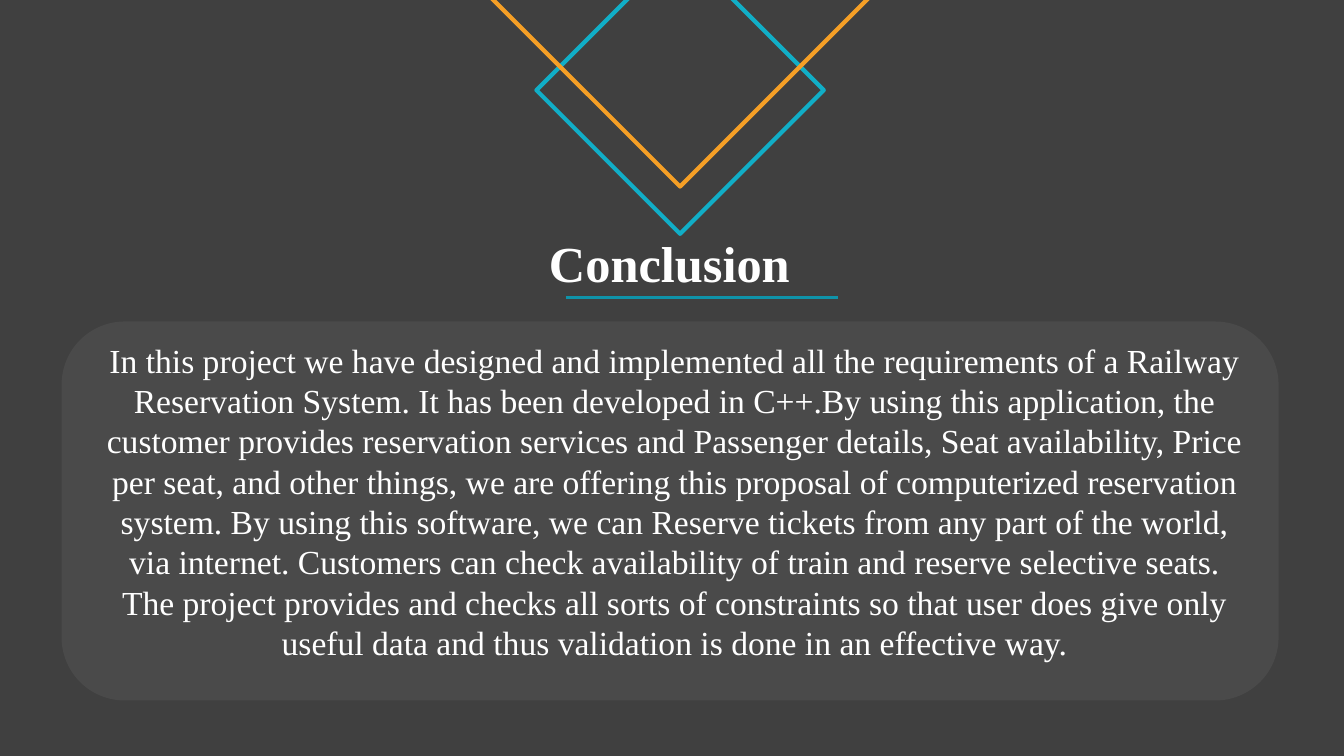
from lxml import etree
from pptx import Presentation
from pptx.dml.color import RGBColor
from pptx.enum.shapes import MSO_CONNECTOR, MSO_SHAPE
from pptx.enum.text import MSO_AUTO_SIZE, PP_ALIGN
from pptx.oxml.ns import qn
from pptx.util import Inches, Pt

DIAMOND = MSO_SHAPE.DIAMOND
ROUNDED = MSO_SHAPE.ROUNDED_RECTANGLE
STRAIGHT = MSO_CONNECTOR.STRAIGHT
CENTER = PP_ALIGN.CENTER
FIT_SHAPE = MSO_AUTO_SIZE.SHAPE_TO_FIT_TEXT

WIDTH, HEIGHT = Inches(13.33), Inches(7.5)
FONT = "Times New Roman"
BACKGROUND, PANEL, WHITE = "404040", "585858", "FFFFFF"
TEAL, DARK_TEAL, ORANGE = "11AEC7", "0F93A9", "F59F26"

CONCLUSION = [
    "In this project we have designed and implemented all the requirements of a Railway",
    "Reservation System. It has been developed in C++.By using this application, the "
    "customer provides reservation services and Passenger details, Seat availability, "
    "Price per seat, and other things, we are offering this proposal of computerized "
    "reservation system. By using this software, we can Reserve tickets from any part "
    "of the world, via internet. Customers can check availability of train and reserve "
    "selective seats. The project provides and checks all sorts of constraints so that "
    "user does give only useful data and thus validation is done in an effective way.",
]


def color(hex_string):
    return RGBColor.from_string(hex_string)


def across(percent):
    return round(WIDTH * percent / 100)


def down(percent):
    return round(HEIGHT * percent / 100)


def box(left, top, width, height):
    """Turn percentages of the slide into a position and size."""
    return across(left), down(top), across(width), down(height)


def add_diamond(slide, center_y, size, line_color):
    """Outline a square diamond on the ornament's axis; size is a share of the height."""
    side = down(size)
    left = across(50.6) - side // 2
    top = down(center_y) - side // 2
    diamond = slide.shapes.add_shape(DIAMOND, left, top, side, side)
    diamond.shadow.inherit = False
    diamond.fill.background()
    diamond.line.color.rgb = color(line_color)
    diamond.line.width = Pt(3)


def add_panel(slide, area, fill_color, opacity):
    panel = slide.shapes.add_shape(ROUNDED, *area)
    panel.shadow.inherit = False
    panel.line.fill.background()
    panel.fill.solid()
    panel.fill.fore_color.rgb = color(fill_color)
    rgb = panel.fill._xPr.find(f".//{qn('a:srgbClr')}")
    etree.SubElement(rgb, qn("a:alpha"), val=str(opacity * 1000))


def add_text(slide, area, lines, size, bold=False):
    text_frame = slide.shapes.add_textbox(*area).text_frame
    text_frame.word_wrap = True
    text_frame.auto_size = FIT_SHAPE
    text_frame.text = "\n".join(lines)
    for paragraph in text_frame.paragraphs:
        paragraph.alignment = CENTER
        for run in paragraph.runs:
            run.font.name = FONT
            run.font.size = Pt(size)
            run.font.bold = bold
            run.font.color.rgb = color(WHITE)


def add_underline(slide, start, end, y):
    underline = slide.shapes.add_connector(
        STRAIGHT, across(start), down(y), across(end), down(y))
    underline.line.color.rgb = color(DARK_TEAL)
    underline.line.width = Pt(2)
    etree.SubElement(underline._element.spPr, qn("a:effectLst"))


def main():
    presentation = Presentation()
    presentation.slide_width, presentation.slide_height = WIDTH, HEIGHT
    slide = presentation.slides.add_slide(presentation.slide_layouts[6])
    slide.background.fill.solid()
    slide.background.fill.fore_color.rgb = color(BACKGROUND)

    add_diamond(slide, 11.93, 38, TEAL)
    add_diamond(slide, -1.13, 51.6, ORANGE)
    add_text(slide, box(24.53, 30, 50.56, 9.47), ["Conclusion"], 36, bold=True)
    add_panel(slide, box(4.58, 42.53, 90.55, 50.13), PANEL, 44)
    add_text(slide, box(7.13, 44.27, 86.12, 44.4), CONCLUSION, 24)
    add_underline(slide, 42.09, 62.34, 39.33)

    presentation.save("out.pptx")


if __name__ == "__main__":
    main()
